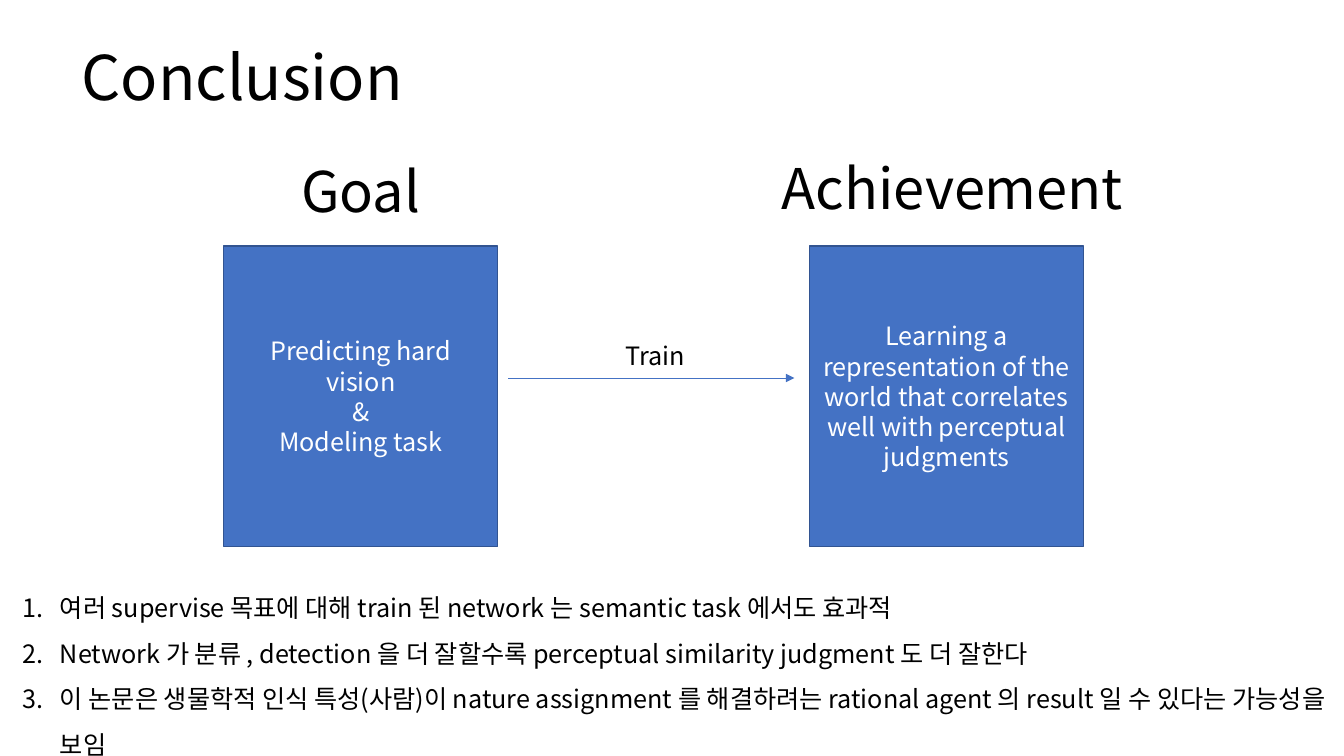
from typing import NamedTuple

from pptx import Presentation
from pptx.dml.color import RGBColor as Rgb
from pptx.enum.dml import MSO_THEME_COLOR as Theme
from pptx.enum.shapes import MSO_CONNECTOR as Link, MSO_SHAPE as Kind
from pptx.enum.text import MSO_ANCHOR as Anchor, MSO_AUTO_SIZE as Fit, PP_ALIGN as Align
from pptx.oxml.ns import qn
from pptx.oxml.xmlchemy import OxmlElement as Node
from pptx.util import Pt

FONT = "Noto Sans CJK KR"
BLACK, WHITE, BLUE, NAVY = "000000", "FFFFFF", "4472C4", "325491"


class Area(NamedTuple):
    left: float
    top: float
    width: float
    height: float


class Label(NamedTuple):
    text: str
    area: Area
    size: int


class Box(NamedTuple):
    text: str
    left: float


LABELS = [
    Label("Goal", Area(208.1, 108, 116.6, 55.4), 40),
    Label("Achievement", Area(551.5, 105.8, 278.6, 55.4), 40),
    Label("Train", Area(440, 239.8, 80.6, 28.8), 18),
]
BOXES = [
    Box("Predicting hard vision\n&\nModeling task", 159.8),
    Box("Learning a representation of the world that correlates "
        "well with perceptual judgments", 578.2),
]
POINTS = [
    "여러 supervise 목표에 대해 train 된 network 는 semantic task 에서도 효과적",
    "Network 가 분류 , detection 을 더 잘할수록 perceptual similarity judgment 도 더 잘한다",
    "이 논문은 생물학적 인식 특성(사람)이 nature assignment 를 해결하려는 "
    "rational agent 의 result 일 수 있다는 가능성을 보임",
]


def paint(part, color: str) -> None:
    part.solid()
    part.fore_color.rgb = Rgb.from_string(color)


def place(shape, area: Area) -> None:
    shape.left, shape.top, shape.width, shape.height = map(Pt, area)


def write(shape, text: str, size: int, color: str, align: Align = Align.LEFT,
          space: float = 1.0) -> None:
    frame = shape.text_frame
    frame.text = text
    frame.word_wrap = True
    for para in frame.paragraphs:
        para.alignment = align
        para.line_spacing = space
        para.space_before = Pt(0)
        for run in para.runs:
            run.font.size = Pt(size)
            run.font.name = FONT
            paint(run.font.fill, color)
            east = Node("a:ea")
            east.set("typeface", FONT)
            run.font._element.append(east)


def add_label(slide, label: Label) -> None:
    shape = slide.shapes.add_textbox(*map(Pt, label.area))
    write(shape, label.text, label.size, BLACK)
    shape.text_frame.auto_size = Fit.SHAPE_TO_FIT_TEXT


def add_box(slide, box: Box) -> None:
    area = Area(box.left, 175.7, 195.8, 214.6)
    shape = slide.shapes.add_shape(Kind.RECTANGLE, *map(Pt, area))
    shape.shadow.inherit = False
    paint(shape.fill, BLUE)
    paint(shape.line.fill, NAVY)
    shape.line.width = Pt(1)
    write(shape, box.text, 18, WHITE, Align.CENTER)
    shape.text_frame.vertical_anchor = Anchor.MIDDLE


def add_arrow(slide, start: float, end: float, top: float) -> None:
    line = slide.shapes.add_connector(Link.STRAIGHT, Pt(start), Pt(top), Pt(end), Pt(top))
    paint(line.line.fill, BLUE)
    line.line.width = Pt(0.5)
    tip = Node("a:tailEnd")
    tip.set("type", "triangle")
    props = line._element.spPr
    props.find(qn("a:ln")).append(tip)
    props.append(Node("a:effectLst"))


def fill_title(shape) -> None:
    place(shape, Area(51.1, 5, 828, 104.4))
    write(shape, "Conclusion", 44, BLACK, space=0.9)
    shape.text_frame.vertical_anchor = Anchor.MIDDLE
    shape.text_frame.auto_size = Fit.NONE


def fill_list(shape) -> None:
    place(shape, Area(8.6, 409, 951.1, 133.9))
    write(shape, "\n".join(POINTS), 18, BLACK, space=1.5)
    shape.text_frame.vertical_anchor = Anchor.TOP
    shape.text_frame.auto_size = Fit.NONE
    for para in shape.text_frame.paragraphs:
        props = para._p.get_or_add_pPr()
        props.set("marL", str(Pt(27)))
        props.set("indent", str(Pt(-27)))
        mark = Node("a:buFont")
        mark.set("typeface", "+mj-lt")
        count = Node("a:buAutoNum")
        count.set("type", "arabicPeriod")
        props.append(mark)
        props.append(count)


def main() -> None:
    deck = Presentation()
    deck.slide_width, deck.slide_height = Pt(960), Pt(540)
    slide = deck.slides.add_slide(deck.slide_layouts[1])
    paint(slide.background.fill, WHITE)
    fill_title(slide.shapes.title)
    for box in BOXES:
        add_box(slide, box)
    for label in LABELS:
        add_label(slide, label)
    add_arrow(slide, 362.9, 567.4, 270)
    fill_list(slide.placeholders[1])
    deck.save("out.pptx")


if __name__ == "__main__":
    main()
